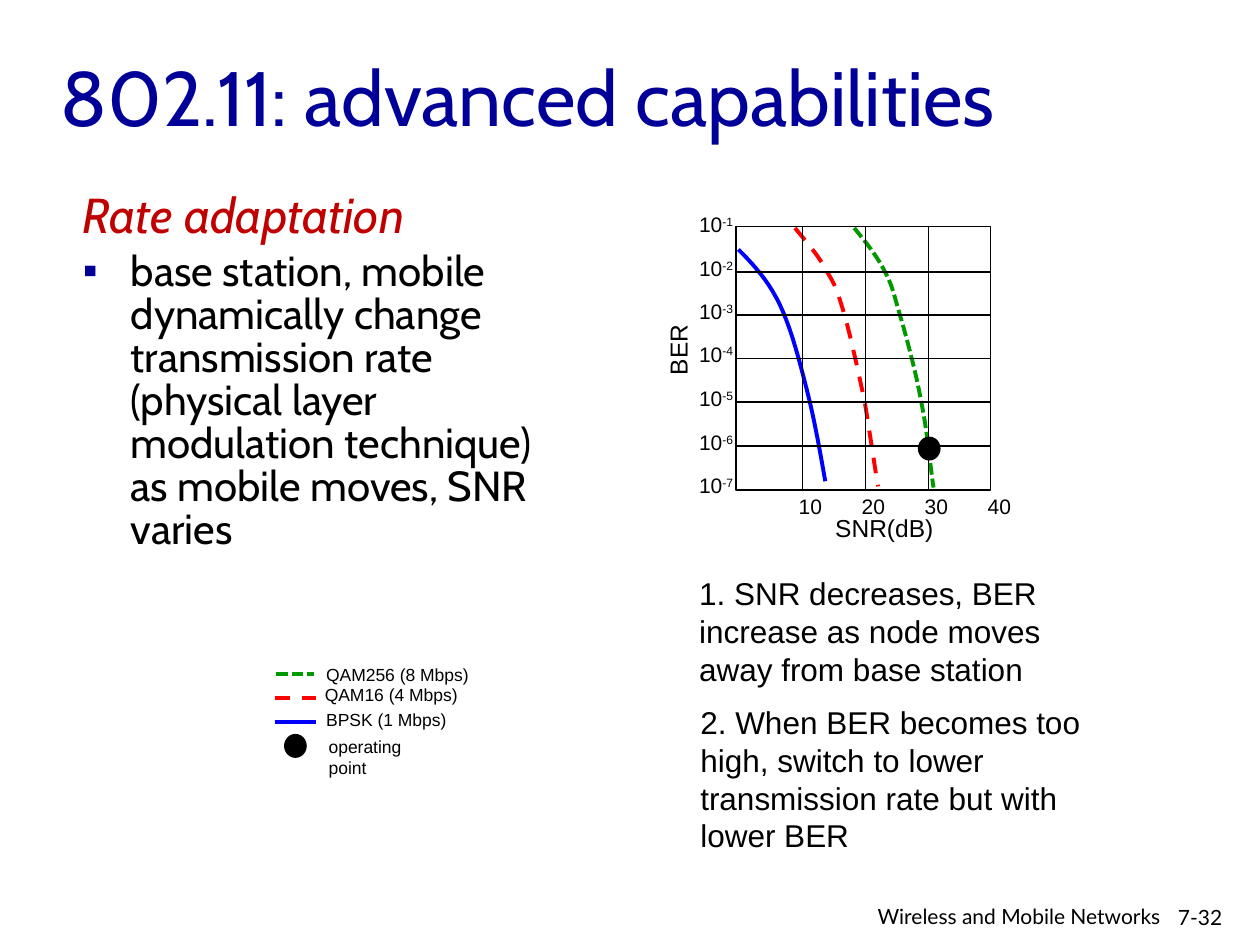
from lxml import etree
from pptx import Presentation
from pptx.dml.color import RGBColor
from pptx.enum.dml import MSO_LINE
from pptx.enum.shapes import MSO_CONNECTOR, MSO_SHAPE
from pptx.enum.text import MSO_ANCHOR, PP_ALIGN
from pptx.oxml.ns import qn
from pptx.util import Pt

PX = 9144  # 100 px to the inch
RECT, OVAL = MSO_SHAPE.RECTANGLE, MSO_SHAPE.OVAL
LINE = MSO_CONNECTOR.STRAIGHT
DASH, DOT = MSO_LINE.DASH, MSO_LINE.ROUND_DOT
BLACK, NAVY = "000000", "000099"

deck = Presentation()
deck.slide_width, deck.slide_height = 1000 * PX, 750 * PX
shapes = deck.slides.add_slide(deck.slide_layouts[6]).shapes
hue = RGBColor.from_string


def text(words, x, y, w, h, size, font="Arial", color=BLACK, wrap=False):
    """Add a text box with one paragraph per string and return it."""
    box = shapes.add_textbox(x * PX, y * PX, w * PX, h * PX)
    frame = box.text_frame
    frame.word_wrap = wrap
    frame.text = words
    for para in frame.paragraphs:
        para.font.size, para.font.name = Pt(size), font
        para.font.color.rgb = hue(color)
    return box


def rule(x1, y1, x2, y2, color=BLACK, width=0.75, dash=None):
    line = shapes.add_connector(LINE, x1 * PX, y1 * PX, x2 * PX, y2 * PX)
    line.line.color.rgb, line.line.width = hue(color), Pt(width)
    line.line.dash_style = dash
    etree.SubElement(line._element.spPr, qn("a:effectLst"))
    return line


# Title and body
title = text("802.11: advanced capabilities", 38, 30, 850, 92, 44, "Cabin", NAVY, True)
title.text_frame.vertical_anchor = MSO_ANCHOR.MIDDLE

body = text("Rate adaptation\nbase station, mobile dynamically change transmission rate "
            "(physical layer modulation technique) as mobile moves, SNR varies",
            56, 149, 410, 508, 24, "Cabin", wrap=True)
head, item = body.text_frame.paragraphs
head.font.size, head.font.italic = Pt(28), True
head.font.color.rgb = hue("C00000")
for para in (head, item):
    para.line_spacing = 0.85
    para.space_before = Pt(5)
    props = para._p.get_or_add_pPr()
    props.set("marL", str(38 * PX))
    props.set("indent", str(-38 * PX))
# The bullet goes ahead of the default run properties
marks = [etree.Element(qn("a:" + tag)) for tag in ("buClr", "buFont", "buChar")]
etree.SubElement(marks[0], qn("a:srgbClr")).set("val", NAVY)
marks[1].set("typeface", "Arial")
marks[2].set("char", "▪")
last = props.find(qn("a:defRPr"))
for mark in marks:
    if last is None:
        props.append(mark)
    else:
        last.addprevious(mark)

# Modulation schemes: legend row and curve (start, then Bézier triples)
schemes = [
    ("BPSK (1 Mbps)", "0000FF", None, (218, 251, 573), (249, 558, 115),
     [(586, 198), (598, 210), (610, 223), (619, 242), (628, 261), (635, 288),
      (641, 312), (647, 335), (653, 371), (655, 382)]),
    ("QAM16 (4 Mbps)", "FF0000", DASH, (218, 251, 554), (248, 538, 126),
     [(631, 181), (640, 192), (650, 203), (656, 215), (663, 226), (665, 232),
      (670, 249), (675, 266), (681, 294), (686, 317), (690, 340), (693, 363),
      (697, 386)]),
    ("QAM256 (8 Mbps)", "009900", DOT, (219, 249, 535), (249, 522, 133),
     [(678, 181), (687, 192), (696, 203), (702, 215), (708, 226), (709, 232),
      (714, 249), (719, 266), (727, 295), (731, 318), (736, 341), (739, 376),
      (741, 387)]),
]
STEPS = 10
for name, color, dash, (x1, x2, y), (left, top, wide), knots in schemes:
    if dash == DOT:
        dash = MSO_LINE.SQUARE_DOT
    rule(x1, y, x2, y, color, 2.25, dash)
    text(name, left, top, wide, 27, 10)
    points = []
    for k in range(0, len(knots) - 1, 3):
        for n in range(1, STEPS + 1):
            t = n / STEPS
            mix = ((1 - t) ** 3, 3 * t * (1 - t) ** 2, 3 * t * t * (1 - t), t ** 3)
            points.append([round(PX * sum(m * p[axis] for m, p in zip(mix, knots[k:k + 4])))
                           for axis in (0, 1)])
    path = shapes.build_freeform(knots[0][0] * PX, knots[0][1] * PX)
    path.add_line_segments(points, close=False)
    curve = path.convert_to_shape()
    curve.shadow.inherit = False
    curve.fill.background()
    curve.line.color.rgb, curve.line.width = hue(color), Pt(2.25)
    curve.line.dash_style = dash

# Plot frame, grid and axis labels
plot = shapes.add_shape(RECT, 584 * PX, 180 * PX, 202 * PX, 209 * PX)
plot.shadow.inherit = False
plot.fill.background()
plot.line.color.rgb, plot.line.width = hue(BLACK), Pt(0.75)

for row in range(1, 6):
    y = round(181 + 34.5 * row)
    line = rule(584, y, 786, y)
    if row == 3:
        line.begin_connect(plot, 1)
        line.end_connect(plot, 3)
for col in range(1, 4):
    rule(587 + 50 * col, 180, 587 + 50 * col, 389)
for col in range(1, 5):
    text(str(10 * col), 574 + 50 * col, 387, 39, 30, 12)
for row in range(7):
    label = text("10", 545, round(163 + 34.5 * row), 48, 30, 12)
    power = label.text_frame.paragraphs[0].add_run()
    power.text = f"-{row + 1}"
    power._r.get_or_add_rPr().set("baseline", "30000")
text("SNR(dB)", 653, 402, 98, 33, 14)
text("BER", 508, 261, 60, 33, 14).rotation = 270

# Operating point on the plot and in the legend
for x, y in ((729, 347), (226, 583)):
    dot = shapes.add_shape(OVAL, x * PX, y * PX, 17 * PX, 18 * PX)
    dot.shadow.inherit = False
    dot.fill.solid()
    dot.fill.fore_color.rgb = dot.line.color.rgb = hue(BLACK)
    dot.line.width = Pt(0.75)
text("operating point", 251, 579, 111, 27, 10)

# Notes beside the plot and footer
text("1. SNR decreases, BER increase as node moves away from base station",
     545, 451, 350, 100, 18, wrap=True)
text("2. When BER becomes too high, switch to lower transmission rate but with lower BER",
     546, 553, 350, 130, 18, wrap=True)
text("7-32", 925, 713, 75, 30, 12, "Lato", wrap=True)
footer = text("Wireless and Mobile Networks", 640, 712, 291, 28, 12, "Lato", wrap=True)
footer.text_frame.paragraphs[0].alignment = PP_ALIGN.RIGHT

deck.save("out.pptx")
